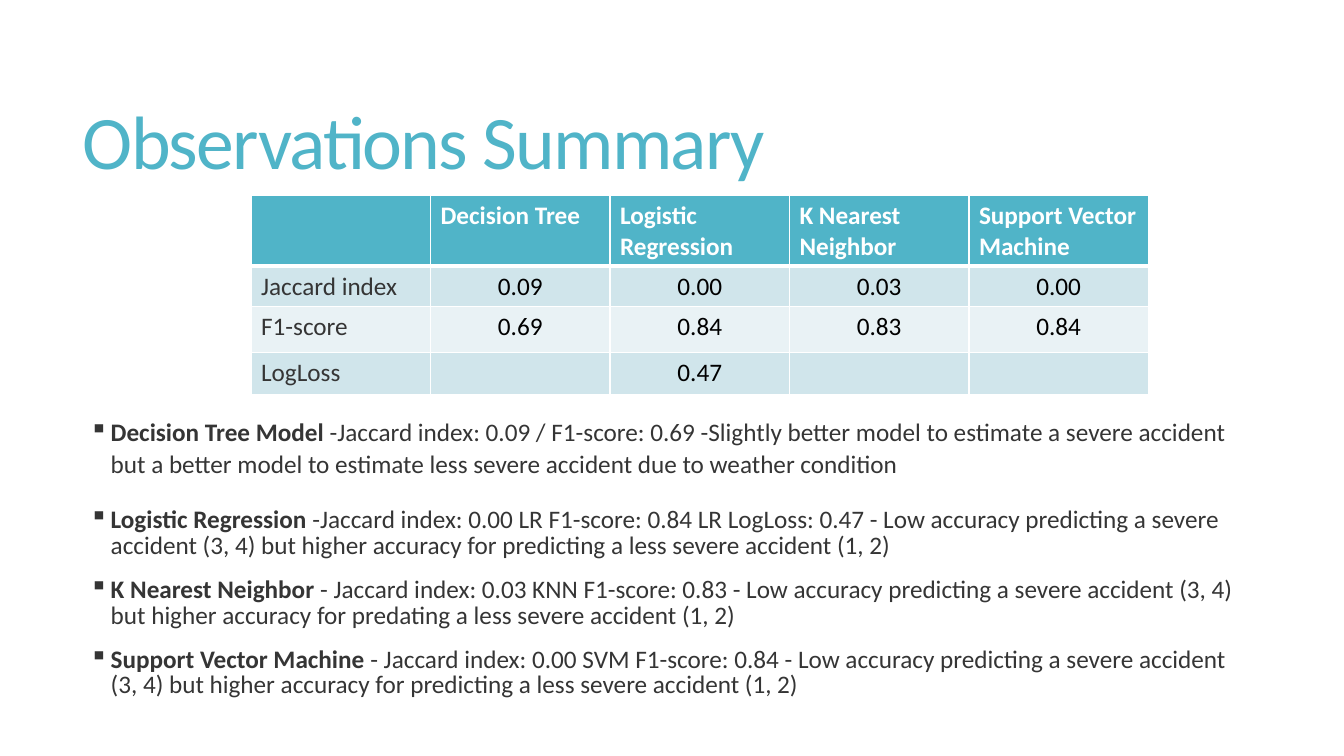
from lxml import etree
from pptx import Presentation, util as u
from pptx.dml.color import RGBColor
from pptx.enum import text
from pptx.oxml import ns

WIDTH, HEIGHT = 13.33, 7.5
FONT = "Calibri"
TEAL, DARK, BLACK, WHITE = "50B4C8", "353535", "000000", "FFFFFF"
BANDS = ["D0E5EB", "E9F2F5"]

COLUMN_WIDTH = 1.78
ROW_HEIGHTS = [0.7, 0.4, 0.46, 0.41]
SCORES = [
    ["", "Decision Tree", "Logistic Regression", "K Nearest Neighbor", "Support Vector Machine"],
    ["Jaccard index", "0.09", "0.00", "0.03", "0.00"],
    ["F1-score", "0.69", "0.84", "0.83", "0.84"],
    ["LogLoss", "", "0.47", "", ""],
]
FINDINGS = [
    ("Decision Tree Model ",
     "-Jaccard index: 0.09 / F1-score: 0.69 -Slightly better model to estimate a severe accident "
     "but a better model to estimate less severe accident due to weather condition"),
    ("Logistic Regression ",
     "-Jaccard index: 0.00 LR F1-score: 0.84 LR LogLoss: 0.47 - Low accuracy predicting a severe "
     "accident (3, 4) but higher accuracy for predicting a less severe accident (1, 2)"),
    ("K Nearest Neighbor ",
     "- Jaccard index: 0.03 KNN F1-score: 0.83 - Low accuracy predicting a severe accident (3, 4) "
     "but higher accuracy for predating a less severe accident (1, 2)"),
    ("Support Vector Machine ",
     "- Jaccard index: 0.00 SVM F1-score: 0.84 - Low accuracy predicting a severe accident (3, 4) "
     "but higher accuracy for predicting a less severe accident (1, 2)"),
]


def color(value):
    return RGBColor.from_string(value)


def style(font, size, shade, bold=False):
    font.name, font.size, font.bold = FONT, u.Pt(size), bold
    font.color.rgb = color(shade)


def add_title(page, wording):
    title = page.shapes.title
    title.left, title.top = u.Inches(0.72), u.Inches(0.55)
    title.width, title.height = u.Inches(11.78), u.Inches(1.81)
    frame = title.text_frame
    frame.text = wording
    frame.auto_size = text.MSO_AUTO_SIZE.NONE
    frame.vertical_anchor = text.MSO_ANCHOR.MIDDLE
    para = frame.paragraphs[0]
    para.alignment, para.line_spacing = text.PP_ALIGN.LEFT, 0.85
    span = para.runs[0]
    style(span.font, 54, TEAL)
    span.font._element.set("spc", "-120")


def add_borders(cell, bottom):
    properties = cell._tc.get_or_add_tcPr()
    for side, points in (("L", 1), ("R", 1), ("T", 1), ("B", bottom)):
        line = etree.SubElement(properties, ns.qn(f"a:ln{side}"), w=str(u.Pt(points)))
        fill = etree.SubElement(line, ns.qn("a:solidFill"))
        etree.SubElement(fill, ns.qn("a:srgbClr"), val=WHITE)


def fill_cell(cell, wording, row, column):
    header = row == 0
    add_borders(cell, 3 if header else 1)
    cell.fill.solid()
    cell.fill.fore_color.rgb = color(TEAL if header else BANDS[(row - 1) % 2])
    cell.text = wording
    para = cell.text_frame.paragraphs[0]
    shade = WHITE if header else BLACK if column else DARK
    style(para.font, 18, shade, header)
    for span in para.runs:
        style(span.font, 18, shade, header)
    if column and not header:
        para.alignment = text.PP_ALIGN.CENTER


def add_scores(page):
    columns = len(SCORES[0])
    table = page.shapes.add_table(
        len(SCORES), columns, u.Inches(2.49), u.Inches(1.94),
        u.Inches(COLUMN_WIDTH * columns), u.Inches(sum(ROW_HEIGHTS))).table
    for column in table.columns:
        column.width = u.Inches(COLUMN_WIDTH)
    for row, (height, wordings) in enumerate(zip(ROW_HEIGHTS, SCORES)):
        table.rows[row].height = u.Inches(height)
        for column, wording in enumerate(wordings):
            fill_cell(table.cell(row, column), wording, row, column)


def add_bullet(para):
    properties = para._p.get_or_add_pPr()
    properties.set("marL", str(u.Inches(0.21)))
    properties.set("indent", str(u.Inches(-0.31)))
    etree.SubElement(properties, ns.qn("a:buChar"), char="▪")


def add_findings(page):
    box = page.shapes.add_textbox(u.Inches(0.79), u.Inches(4.06), u.Inches(11.76), u.Inches(4.12))
    frame = box.text_frame
    frame.word_wrap = True
    for index, (model, finding) in enumerate(FINDINGS):
        para = frame.add_paragraph() if index else frame.paragraphs[0]
        add_bullet(para)
        if index:
            para.line_spacing, para.space_before = 0.85, u.Pt(13)
        else:
            para.line_spacing, para.space_after = 1.07, u.Pt(8)
        for wording, bold in ((model, True), (finding, False)):
            span = para.add_run()
            span.text = wording
            style(span.font, 18, DARK, bold)


def main():
    deck = Presentation()
    deck.slide_width, deck.slide_height = u.Inches(WIDTH), u.Inches(HEIGHT)
    page = deck.slides.add_slide(deck.slide_layouts.get_by_name("Title Only"))
    page.background.fill.solid()
    page.background.fill.fore_color.rgb = color(WHITE)
    add_title(page, "Observations Summary")
    add_findings(page)
    add_scores(page)
    deck.save("out.pptx")


if __name__ == "__main__":
    main()
